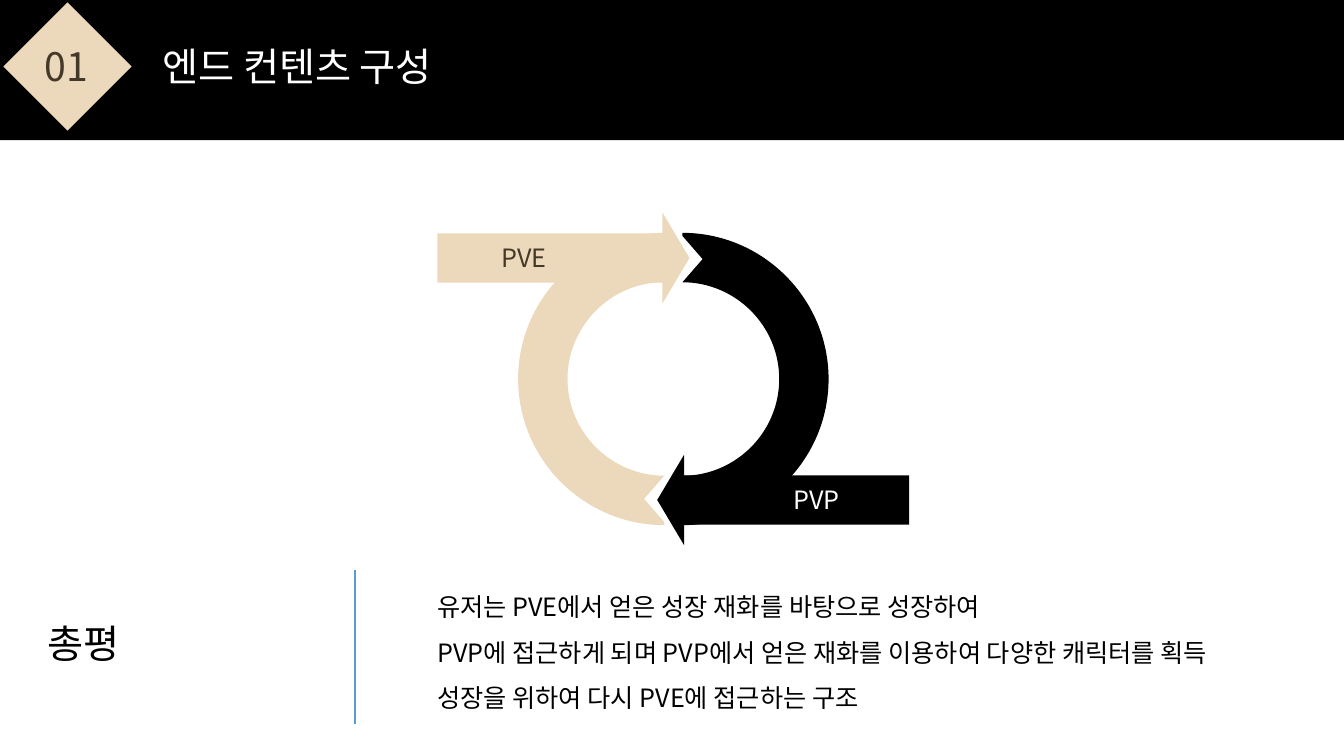
"""Builds the end-content slide: a PVE and PVP cycle with a closing summary."""
from lxml.etree import SubElement
from pptx import Presentation
from pptx.dml.color import RGBColor
from pptx.enum.shapes import MSO_CONNECTOR, MSO_SHAPE
from pptx.enum.text import MSO_ANCHOR, MSO_AUTO_SIZE, PP_ALIGN
from pptx.oxml.ns import qn
from pptx.util import Inches, Pt

BLACK = RGBColor(0x00, 0x00, 0x00)
WHITE = RGBColor(0xFF, 0xFF, 0xFF)
BEIGE = RGBColor(0xEC, 0xD9, 0xBB)
BROWN = RGBColor(0x44, 0x38, 0x28)
BLUE = RGBColor(0x5B, 0x9B, 0xD5)
FONT = "Noto Sans CJK KR"
ROUNDNESS = 0.55
SUMMARY = [
    "유저는 PVE에서 얻은 성장 재화를 바탕으로 성장하여",
    "PVP에 접근하게 되며 PVP에서 얻은 재화를 이용하여 다양한 캐릭터를 획득",
    "성장을 위하여 다시 PVE에 접근하는 구조",
]


def apply(target, values):
    """Set every attribute named in values on target."""
    for name, value in values.items():
        setattr(target, name, value)


def paint(shape, color):
    """Give a shape a flat fill without outline or shadow."""
    shape.shadow.inherit = False
    shape.fill.solid()
    shape.fill.fore_color.rgb = color
    shape.line.fill.background()


def add_block(shapes, kind, place, color, rotation=0):
    """Add a flat preset shape."""
    shape = shapes.add_shape(kind, *map(Inches, place))
    shape.rotation = rotation
    paint(shape, color)
    return shape


def write(box, lines, size, color, align=PP_ALIGN.LEFT, spacing=1.0):
    """Fill a box with one formatted paragraph per line."""
    frame = box.text_frame
    apply(frame, {"word_wrap": True, "auto_size": MSO_AUTO_SIZE.SHAPE_TO_FIT_TEXT,
                  "vertical_anchor": MSO_ANCHOR.TOP})
    for index, line in enumerate(lines):
        para = frame.add_paragraph() if index else frame.paragraphs[0]
        apply(para, {"alignment": align, "line_spacing": spacing})
        span = para.add_run()
        span.text = line
        apply(span.font, {"size": Pt(size), "name": FONT})
        span.font.color.rgb = color


def add_text(shapes, place, lines, size, color, **style):
    """Add a text box."""
    write(shapes.add_textbox(*map(Inches, place)), lines, size, color, **style)


def add_title(page, band):
    """Place the title on top of the header band."""
    title = page.shapes.title
    title.element.addprevious(band.element)
    places = map(Inches, (1.51, 0.37, 4.73, 0.57))
    apply(title, dict(zip(("left", "top", "width", "height"), places)))
    write(title, ["엔드 컨텐츠 구성"], 28, WHITE)


def round_segment(line, start, from_side):
    """Turn a straight segment into a quarter circle."""
    (x0, y0), end = start, line[0]
    x1, y1 = int(end.get("x")), int(end.get("y"))
    across, down = ROUNDNESS * (x1 - x0), ROUNDNESS * (y1 - y0)
    if from_side:
        handles = [(x0, y0 + down), (x1 - across, y1)]
    else:
        handles = [(x0 + across, y0), (x1, y1 - down)]
    line.tag = qn("a:cubicBezTo")
    for x, y in reversed(handles):
        point = end.makeelement(qn("a:pt"), {"x": str(round(x)), "y": str(round(y))})
        line.insert(0, point)


def add_half_ring(shapes, left):
    """Add a half ring that opens to the right, with a notch at its lower end."""
    edge = left + 1.45
    points = [(edge, 2.31), (edge, 2.8), (edge - 0.96, 3.76), (edge, 4.72),
              (edge - 0.2, 4.95), (edge, 5.18), (edge, 5.21), (left, 3.76), (edge, 2.31)]
    outline = [(Inches(x), Inches(y)) for x, y in points]
    builder = shapes.build_freeform(*outline[0])
    builder.add_line_segments(outline[1:], close=True)
    ring = builder.convert_to_shape()
    segments = [list(item) for item in ring.element.iter(qn("a:path"))][0]
    for index, from_side in ((2, False), (3, True), (7, False), (8, True)):
        before = segments[index - 1][-1]
        start = int(before.get("x")), int(before.get("y"))
        round_segment(segments[index], start, from_side)
    return ring


def add_half_cycle(page, ring_left, arrow_place, color, rotation):
    """Add a half ring and its arrow as one group."""
    shapes = page.shapes.add_group_shape().shapes
    ring = add_half_ring(shapes, ring_left)
    ring.rotation = rotation
    paint(ring, color)
    arrow = add_block(shapes, MSO_SHAPE.RIGHT_ARROW, arrow_place, color, rotation)
    arrow.adjustments[0], arrow.adjustments[1] = 0.541, 0.297


def add_divider(page):
    """Add the vertical rule beside the summary."""
    ends = map(Inches, (3.52, 5.65, 3.52, 7.18))
    divider = page.shapes.add_connector(MSO_CONNECTOR.STRAIGHT, *ends)
    divider.line.color.rgb = BLUE
    divider.line.width = Pt(1.5)
    SubElement(divider.element.spPr, qn("a:effectLst"))


def main():
    """Build and save the slide."""
    deck = Presentation()
    apply(deck, {"slide_width": Inches(40 / 3), "slide_height": Inches(7.5)})
    page = deck.slides.add_slide(deck.slide_layouts[5])
    band = add_block(page.shapes, MSO_SHAPE.RECTANGLE, (0, 0, 40 / 3, 1.39), BLACK)
    add_title(page, band)

    badge = page.shapes.add_group_shape().shapes
    add_block(badge, MSO_SHAPE.RECTANGLE, (0.22, 0.21, 0.9, 0.9), BEIGE, 45)
    add_text(badge, (0.23, 0.37, 0.86, 0.57), ["01"], 28, BROWN, align=PP_ALIGN.CENTER)

    add_divider(page)
    add_half_cycle(page, 6.77, (6.52, 4.51, 2.5, 0.9), BLACK, 180)
    add_text(page.shapes, (7.77, 4.76, 1.22, 0.4), ["PVP"], 18, WHITE)
    add_half_cycle(page, 5.14, (4.34, 2.11, 2.5, 0.9), BEIGE, 0)
    add_text(page.shapes, (4.24, 5.67, 8.73, 1.46), SUMMARY, 18, BLACK, spacing=1.5)
    add_text(page.shapes, (0.37, 6.09, 2.62, 0.57), ["총평"], 28, BLACK)
    add_text(page.shapes, (4.3, 2.36, 1.22, 0.4), ["PVE"], 18, BROWN, align=PP_ALIGN.RIGHT)
    deck.save("out.pptx")


if __name__ == "__main__":
    main()
